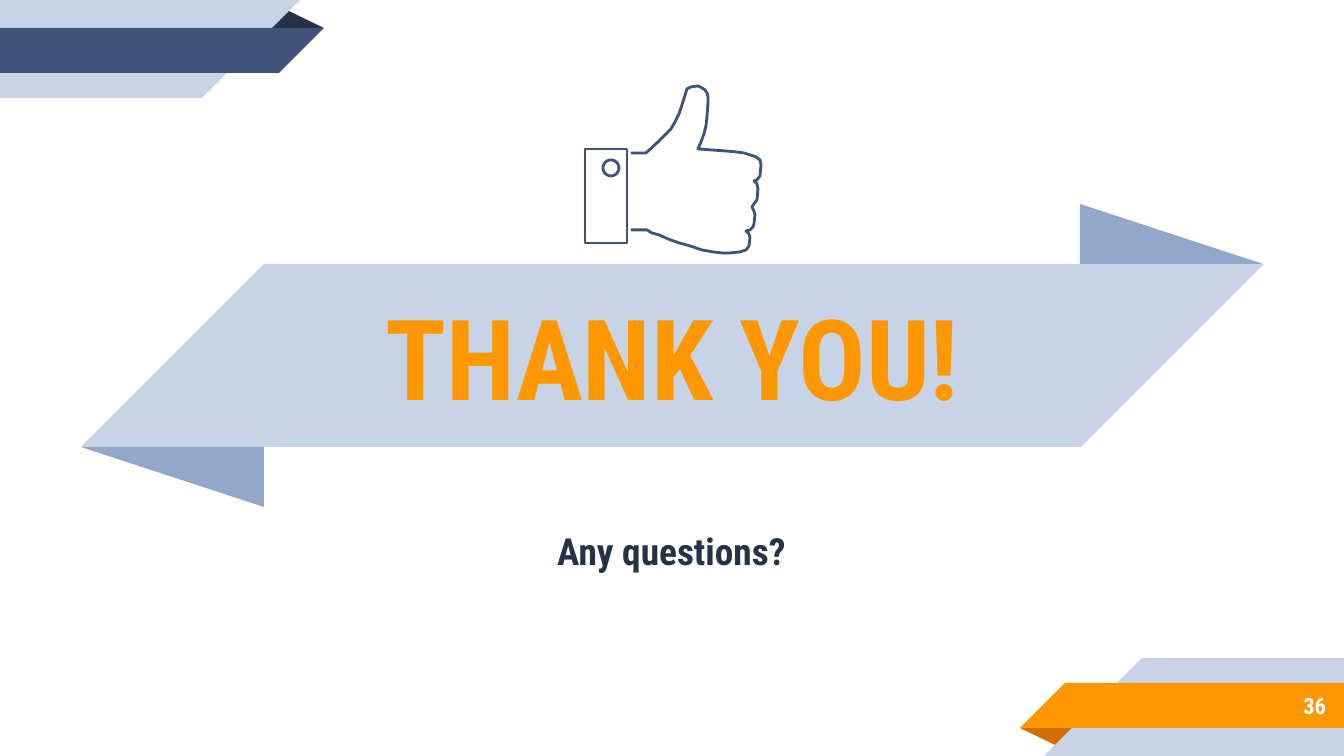
import math

from pptx import Presentation, util as u
from pptx.dml import color
from pptx.enum import shapes, text

EMU_PER_PX = 914400 / 134.4
SLIDE_W, SLIDE_H = 1344, 756
FONT = "Roboto Condensed"
NAVY, DARK, PALE, STEEL = "3F5378", "263248", "C7D3E6", "92A8C8"
ORANGE, RUST, WHITE = "FF9800", "D26F00", "FFFFFF"
RECT = shapes.MSO_SHAPE.RECTANGLE
SLANT = shapes.MSO_SHAPE.RIGHT_TRIANGLE
FOLD = shapes.MSO_SHAPE.ISOSCELES_TRIANGLE

# Outline of the hand, from the lower to the upper edge of the wrist
HAND = [
    (46, 144), (62, 144), (67, 147), (74, 149), (83, 153), (94, 157),
    (105, 160), (117, 164), (128, 166), (137, 167), (145, 167), (155, 166),
    (161, 164), (164, 160), (165, 152), (164, 148), (161, 145),
    (165, 144), (168, 141), (169, 138), (170, 129), (169, 125), (167, 121),
    (169, 118), (172, 114), (173, 103), (172, 98), (169, 95),
    (172, 94), (175, 90), (176, 79), (175, 74), (171, 71), (165, 69),
    (159, 67), (151, 66), (140, 65), (126, 64), (113, 63),
    (116, 56), (119, 48), (121, 40), (122, 31), (123, 17), (123, 11),
    (122, 7), (120, 4), (117, 2), (113, 0), (106, 1), (102, 3),
    (98, 16), (94, 28), (90, 36), (86, 43), (73, 56), (61, 67), (46, 67),
]


def px(length):
    return u.Emu(round(length * EMU_PER_PX))


def rgb(hex_colour):
    return color.RGBColor.from_string(hex_colour)


def add_piece(slide, kind, box, colour, turned=False, apex=None):
    """One flat part of a ribbon; slants are mirrored, folds have an apex."""
    piece = slide.shapes.add_shape(kind, *map(px, box))
    piece.shadow.inherit = False
    piece.fill.solid()
    piece.fill.fore_color.rgb = rgb(colour)
    piece.line.fill.background()
    if apex is not None:
        piece.adjustments[0] = apex
    if kind == SLANT:
        piece._element.spPr.xfrm.set("flipH", "1")
    if turned:
        piece.rotation = 180


def add_corner(slide, box, band_colour, fold_colour, at_end):
    """Stacked ribbons in the top left corner, or half-turned at the end."""
    left, top, width, height = box

    def place(x, y, w, h):
        if at_end:
            x, y = width - x - w, height - y - h
        return left + x, top + y, w, h

    add_piece(slide, FOLD, place(266, 9, 58, 19), fold_colour, at_end, 0.324)
    for y, length, thickness, colour in ((0, 202, 98, PALE),
                                         (28, 279, 45, band_colour)):
        add_piece(slide, RECT, place(0, y, length, thickness), colour)
        add_piece(slide, SLANT, place(length, y, thickness, thickness),
                  colour, not at_end)


def add_banner(slide, box):
    left, top, width, height = box
    fold, band = 60, height - 2 * 60
    right, band_top = left + width - band, top + fold
    add_piece(slide, FOLD, (right - 1, top, band, fold), STEEL, apex=0)
    add_piece(slide, RECT, (left + band, band_top, width - 2 * band, band), PALE)
    add_piece(slide, SLANT, (right, band_top, band, band), PALE, turned=True)
    add_piece(slide, SLANT, (left, band_top, band, band), PALE)
    add_piece(slide, FOLD, (left, band_top + band, band, fold), STEEL, True, 0)


def add_text(slide, box, wording, size, colour, align, bottom_inset=13):
    frame = slide.shapes.add_textbox(*map(px, box)).text_frame
    frame.word_wrap = True
    frame.vertical_anchor = text.MSO_ANCHOR.MIDDLE
    frame.margin_left = frame.margin_right = frame.margin_top = px(13)
    frame.margin_bottom = px(bottom_inset)
    paragraph = frame.paragraphs[0]
    paragraph.alignment = align
    run = paragraph.add_run()
    run.text = wording
    run.font.name = FONT
    run.font.size = u.Pt(size)
    run.font.bold = True
    run.font.color.rgb = rgb(colour)


def add_outline(slide, left, top, contours, closed):
    def place(point):
        return px(left + point[0]), px(top + point[1])

    builder = slide.shapes.build_freeform(*place(contours[0][0]))
    for index, contour in enumerate(contours):
        if index:
            builder.move_to(*place(contour[0]))
        builder.add_line_segments([place(p) for p in contour[1:]], close=closed)
    outline = builder.convert_to_shape()
    outline.shadow.inherit = False
    outline.fill.background()
    outline.line.color.rgb = rgb(NAVY)
    outline.line.width = u.Pt(1.5)


def add_thumbs_up(slide, left, top):
    cuff = [(0, 63), (0, 157), (42, 157), (42, 63)]
    angles = [math.radians(step * 15) for step in range(24)]
    button = [(26 + 8 * math.cos(a), 82 + 8 * math.sin(a)) for a in angles]
    add_outline(slide, left, top, [cuff, button], closed=True)
    add_outline(slide, left, top, [HAND], closed=False)


def main():
    deck = Presentation()
    deck.slide_width, deck.slide_height = px(SLIDE_W), px(SLIDE_H)
    slide = deck.slides.add_slide(deck.slide_layouts[6])
    center, right = text.PP_ALIGN.CENTER, text.PP_ALIGN.RIGHT

    add_corner(slide, (0, 0, 324, 98), NAVY, DARK, at_end=False)
    add_corner(slide, (SLIDE_W - 324, SLIDE_H - 98, 324, 98), ORANGE, RUST,
               at_end=True)
    add_banner(slide, (81, 204, 1183, 303))
    add_text(slide, (82, 266, 1181, 180), "THANK YOU!", 60, ORANGE, center)
    add_text(slide, (1120, 682, 219, 47), "36", 12, WHITE, right)
    add_text(slide, (187, 474, 969, 198), "Any questions?", 20, DARK, center,
             bottom_inset=57)
    add_thumbs_up(slide, 585, 86)
    deck.save("out.pptx")


if __name__ == "__main__":
    main()
